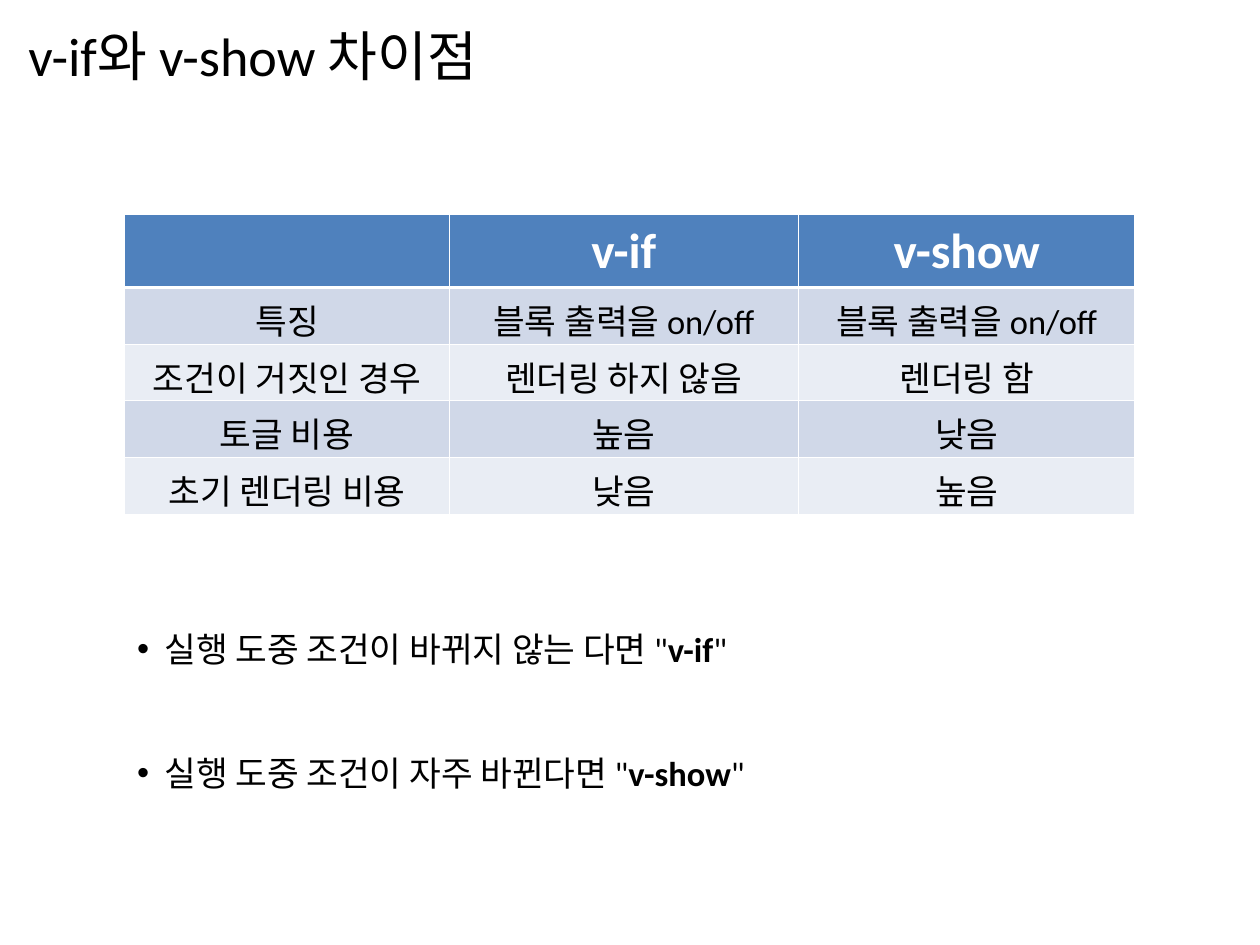
import pptx
import pptx.dml.color
import pptx.enum.text
import pptx.oxml
import pptx.oxml.ns
import pptx.util

Inches = pptx.util.Inches
Pt = pptx.util.Pt
RGBColor = pptx.dml.color.RGBColor
qn = pptx.oxml.ns.qn

BLACK = RGBColor(0x00, 0x00, 0x00)
WHITE = RGBColor(0xFF, 0xFF, 0xFF)
BLUE = RGBColor(0x4F, 0x81, 0xBD)
BANDS = (RGBColor(0xE9, 0xED, 0xF4), RGBColor(0xD0, 0xD8, 0xE8))
FONT = "Calibri"

ROWS = (
    ("", "v-if", "v-show"),
    ("특징", "블록 출력을 on/off", "블록 출력을 on/off"),
    ("조건이 거짓인 경우", "렌더링 하지 않음", "렌더링 함"),
    ("토글 비용", "높음", "낮음"),
    ("초기 렌더링 비용", "낮음", "높음"),
)
TIPS = (
    ("실행 도중 조건이 바뀌지 않는 다면 \"", "v-if"),
    ("실행 도중 조건이 자주 바뀐다면 \"", "v-show"),
)


def style(font, size, color=BLACK):
    """Set the face, size and colour of a font."""
    font.name = FONT
    font.size = Pt(size)
    font.color.rgb = color


def indent(para, left, first):
    """Indent a paragraph and its first line."""
    props = para._p.get_or_add_pPr()
    props.set("marL", str(Inches(left)))
    props.set("indent", str(Inches(first)))
    return props


def border(cell, top, bottom):
    """Draw white lines round a cell, with the given top and bottom widths."""
    props = cell._tc.get_or_add_tcPr()
    sides = (("lnL", 1), ("lnR", 1), ("lnT", top), ("lnB", bottom))
    for place, (side, width) in enumerate(sides):
        line = pptx.oxml.parse_xml(
            f'<a:{side} {pptx.oxml.ns.nsdecls("a")} w="{Pt(width)}">'
            f'<a:solidFill><a:srgbClr val="{WHITE}"/></a:solidFill></a:{side}>')
        props.insert(place, line)


def add_title(slide, left, top, width, height):
    """Write the slide title."""
    box = slide.shapes.add_textbox(*map(Inches, (left, top, width, height)))
    frame = box.text_frame
    frame.word_wrap = True
    frame.auto_size = pptx.enum.text.MSO_AUTO_SIZE.SHAPE_TO_FIT_TEXT
    frame.margin_left = frame.margin_right = frame.margin_bottom = 0
    frame.margin_top = Inches(0.01)
    para = frame.paragraphs[0]
    para.text = "v-if와 v-show 차이점"
    para.space_before = Pt(1)
    indent(para, 0.01, 0)
    style(para.font, 44)


def fill_cell(cell, text, row):
    """Write and colour one table cell according to its row."""
    head = row == 0
    cell.margin_left = cell.margin_right = Inches(0.16)
    cell.margin_top = cell.margin_bottom = Inches(0.08)
    cell.fill.solid()
    cell.fill.fore_color.rgb = BLUE if head else BANDS[row % 2]
    border(cell, 3 if row == 1 else 1, 3 if head else 1)
    para = cell.text_frame.paragraphs[0]
    para.alignment = pptx.enum.text.PP_ALIGN.CENTER
    if text:
        para.text = text
        para.font.bold = head
        style(para.font, 40 if head else 28, WHITE if head else BLACK)


def add_grid(slide, left, top, width, height):
    """Place the comparison table."""
    frame = slide.shapes.add_table(
        len(ROWS), len(ROWS[0]), *map(Inches, (left, top, width, height)))
    table = frame.table
    for col, share in zip(table.columns, (3.66, 3.94, 3.8)):
        col.width = Inches(width * share / 11.4)
    first = 0.82
    rest = (height - first) / (len(ROWS) - 1)
    for row, texts in enumerate(ROWS):
        table.rows[row].height = Inches(rest if row else first)
        for col, text in enumerate(texts):
            fill_cell(table.cell(row, col), text, row)


def add_tips(slide, left, top, width, height):
    """List when to use each directive."""
    box = slide.shapes.add_textbox(*map(Inches, (left, top, width, height)))
    frame = box.text_frame
    frame.word_wrap = False
    frame.auto_size = pptx.enum.text.MSO_AUTO_SIZE.SHAPE_TO_FIT_TEXT
    for row, (lead, name) in enumerate(TIPS):
        para = frame.add_paragraph() if row else frame.paragraphs[0]
        if row:
            para.space_before = Pt(67)
        props = indent(para, 0.31, -0.31)
        font = pptx.oxml.ns.nsdecls("a")
        props.append(pptx.oxml.parse_xml(f'<a:buFont {font} typeface="Arial"/>'))
        props.append(pptx.oxml.parse_xml(f'<a:buChar {font} char="•"/>'))
        style(para.font, 28)
        for text, bold in ((lead, False), (name, True), ("\"", False)):
            run = para.add_run()
            run.text = text
            run.font.bold = bold


def main():
    """Build and save the slide."""
    deck = pptx.Presentation()
    deck.slide_width = Inches(14.22)
    deck.slide_height = Inches(10.67)
    slide = deck.slides.add_slide(deck.slide_layouts[6])
    add_title(slide, 0.31, 0.24, 7.34, 0.75)
    add_grid(slide, 1.41, 2.42, 11.4, 3.38)
    add_tips(slide, 1.45, 7.04, 7.53, 1.99)
    deck.save("out.pptx")


if __name__ == "__main__":
    main()
